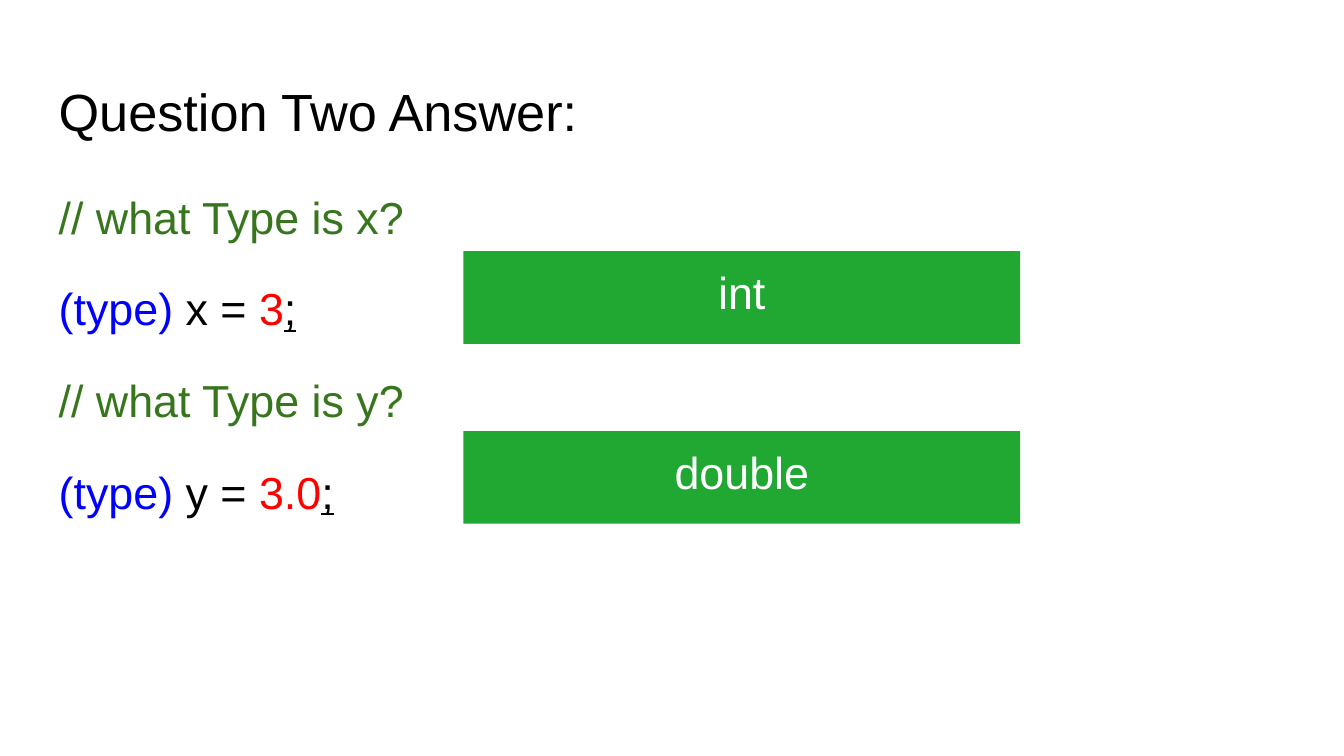
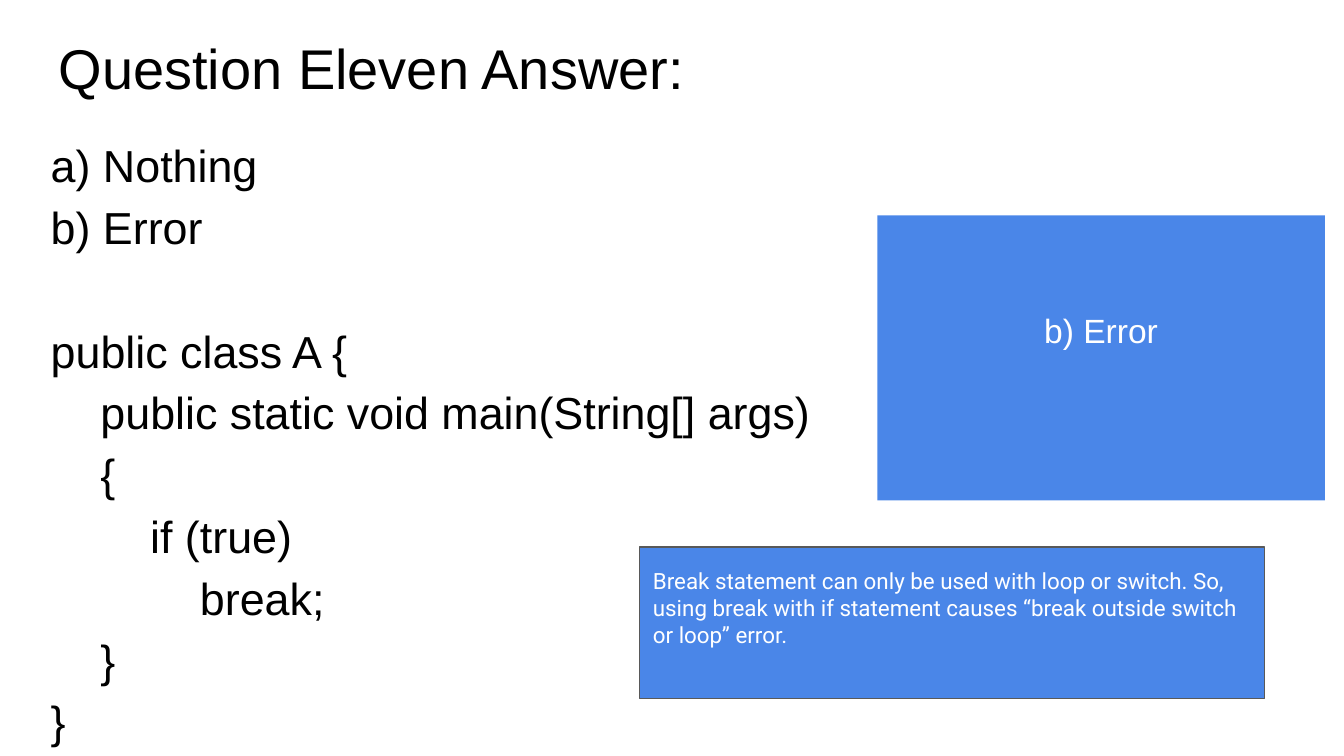
"""Build two quiz answer slides about Java types and the break statement."""
from dataclasses import dataclass

from pptx import Presentation
from pptx.dml.color import RGBColor
from pptx.enum.shapes import MSO_SHAPE
from pptx.enum.text import MSO_ANCHOR, PP_ALIGN
from pptx.slide import Slide
from pptx.text.text import TextFrame
from pptx.util import Cm, Length, Pt

RECTANGLE = MSO_SHAPE.RECTANGLE
TOP, MIDDLE = MSO_ANCHOR.TOP, MSO_ANCHOR.MIDDLE
LEFT, CENTER = PP_ALIGN.LEFT, PP_ALIGN.CENTER


@dataclass(frozen=True)
class Theme:
    """Colours, fonts, type sizes and spacing shared by the slides."""
    text: str = "000000"
    comment: str = "38761D"
    keyword: str = "0000FF"
    literal: str = "FF0000"
    on_fill: str = "FFFFFF"
    green: str = "20A832"
    blue: str = "4A86E8"
    outline: str = "595959"
    font: str = "Arial"
    note_font: str = "Roboto"
    type_title: int = 28
    break_title: int = 30
    body: int = 24
    verdict: int = 18
    note: int = 12
    question_gap: int = 16
    code_gap: int = 33
    line_spacing: float = 1.15
    inset: Length = Cm(0.25)
    indent: Length = Cm(0.94)


THEME = Theme()


@dataclass(frozen=True)
class Box:
    """Place and size of a text area."""
    left: Length
    top: Length
    width: Length
    height: Length


@dataclass(frozen=True)
class Span:
    """A piece of a line with its own colour."""
    text: str
    color: str = THEME.text
    underline: bool = False


@dataclass(frozen=True)
class Line:
    """A body line with its indent level and the gap above it."""
    spans: tuple[Span, ...]
    level: int = 0
    gap: int = 0


@dataclass(frozen=True)
class Panel:
    """A filled box that reveals an answer or its explanation."""
    text: str
    box: Box
    fill: str
    size: int
    font: str = THEME.font
    outline: str | None = None
    align: PP_ALIGN = CENTER
    anchor: MSO_ANCHOR = TOP
    inset_top: Length = THEME.inset
    inset_bottom: Length = THEME.inset


@dataclass(frozen=True)
class Answer:
    """Everything shown on one answer slide."""
    title: str
    title_size: int
    title_top: Length
    body_box: Box
    lines: tuple[Line, ...]
    panels: tuple[Panel, ...]


def type_question(variable: str, value: str, gap: int) -> tuple[Line, Line]:
    """Return the comment and the declaration that ask for a type."""
    return (
        Line((Span(f"// what Type is {variable}?", THEME.comment),), gap=gap),
        Line((Span("(type) ", THEME.keyword), Span(f"{variable} = "),
              Span(value, THEME.literal), Span(";", underline=True)),
             gap=THEME.question_gap),
    )


def type_panel(text: str, top: Length) -> Panel:
    """Return the green panel that names a type."""
    box = Box(Cm(8.76), top, Cm(10.52), Cm(1.75))
    return Panel(text, box, THEME.green, THEME.body)


def code_line(text: str, level: int = 0, gap: int = 0) -> Line:
    """Return a line in the plain text colour."""
    return Line((Span(text),), level, gap)


ANSWERS = (
    Answer(
        "Question Two Answer:", THEME.type_title, Cm(1.24),
        Box(Cm(0.86), Cm(3.18), Cm(23.67), Cm(9.5)),
        type_question("x", "3", 0) + type_question("y", "3.0", THEME.question_gap),
        (type_panel("int", Cm(4.75)), type_panel("double", Cm(8.15))),
    ),
    Answer(
        "Question Eleven Answer:", THEME.break_title, Cm(0.38),
        Box(Cm(0.71), Cm(2.21), Cm(23.67), Cm(11.84)),
        (
            code_line("a) Nothing"),
            code_line("b) Error"),
            code_line("public class A {", gap=THEME.code_gap),
            code_line("public static void main(String[] args)", 1),
            code_line("{", 1),
            code_line("if (true)", 2),
            code_line("break;", 3),
            code_line("}", 1),
            code_line("}"),
        ),
        (
            Panel("b) Error", Box(Cm(16.58), Cm(4.07), Cm(8.46), Cm(5.39)),
                  THEME.blue, THEME.verdict, inset_top=Cm(1.78)),
            Panel("Break statement can only be used with loop or switch. So, using "
                  "break with if statement causes “break outside switch or loop” error.",
                  Box(Cm(12.09), Cm(10.34), Cm(11.81), Cm(2.87)),
                  THEME.blue, THEME.note, THEME.note_font, THEME.outline,
                  LEFT, MIDDLE, inset_bottom=Cm(0.83)),
        ),
    ),
)


def set_frame(frame: TextFrame, anchor: MSO_ANCHOR = TOP,
              inset_top: Length = THEME.inset,
              inset_bottom: Length = THEME.inset) -> None:
    """Set wrapping, anchor and insets of a text frame."""
    frame.word_wrap = True
    frame.vertical_anchor = anchor
    frame.margin_left = frame.margin_right = THEME.inset
    frame.margin_top, frame.margin_bottom = inset_top, inset_bottom


def add_text_frame(slide: Slide, box: Box) -> TextFrame:
    """Add a text box and return its frame."""
    frame = slide.shapes.add_textbox(box.left, box.top, box.width, box.height).text_frame
    set_frame(frame)
    return frame


def set_single_text(frame: TextFrame, text: str, font: str, size: int,
                    color: str, align: PP_ALIGN) -> None:
    """Fill a frame with one evenly styled paragraph."""
    paragraph = frame.paragraphs[0]
    paragraph.text = text
    paragraph.alignment = align
    paragraph.font.name = font
    paragraph.font.size = Pt(size)
    paragraph.font.color.rgb = RGBColor.from_string(color)


def add_title(slide: Slide, answer: Answer) -> None:
    """Add the slide title."""
    frame = add_text_frame(slide, Box(Cm(0.86), answer.title_top, Cm(23.67), Cm(1.6)))
    set_single_text(frame, answer.title, THEME.font, answer.title_size, THEME.text, LEFT)


def add_body(slide: Slide, box: Box, lines: tuple[Line, ...]) -> None:
    """Add the question lines with their colours and indents."""
    frame = add_text_frame(slide, box)
    for index, line in enumerate(lines):
        paragraph = frame.add_paragraph() if index else frame.paragraphs[0]
        paragraph.line_spacing = THEME.line_spacing
        paragraph.space_before = Pt(line.gap)
        paragraph.font.name = THEME.font
        paragraph.font.size = Pt(THEME.body)
        if line.level:
            properties = paragraph._p.get_or_add_pPr()
            properties.set("marL", str(line.level * THEME.indent))
            properties.set("indent", "0")
        for span in line.spans:
            run = paragraph.add_run()
            run.text = span.text
            run.font.color.rgb = RGBColor.from_string(span.color)
            if span.underline:
                run.font.underline = True


def add_panel(slide: Slide, panel: Panel) -> None:
    """Add a filled answer panel."""
    box = panel.box
    shape = slide.shapes.add_shape(RECTANGLE, box.left, box.top, box.width, box.height)
    shape.shadow.inherit = False
    shape.fill.solid()
    shape.fill.fore_color.rgb = RGBColor.from_string(panel.fill)
    if panel.outline:
        shape.line.color.rgb = RGBColor.from_string(panel.outline)
        shape.line.width = Pt(0.75)
    else:
        shape.line.fill.background()
    set_frame(shape.text_frame, panel.anchor, panel.inset_top, panel.inset_bottom)
    set_single_text(shape.text_frame, panel.text, panel.font, panel.size,
                    THEME.on_fill, panel.align)


def main() -> None:
    """Build and save the presentation."""
    presentation = Presentation()
    presentation.slide_width, presentation.slide_height = Cm(25.4), Cm(14.29)
    for answer in ANSWERS:
        slide = presentation.slides.add_slide(presentation.slide_layouts[6])
        add_title(slide, answer)
        add_body(slide, answer.body_box, answer.lines)
        for panel in answer.panels:
            add_panel(slide, panel)
    presentation.save("out.pptx")


if __name__ == "__main__":
    main()
